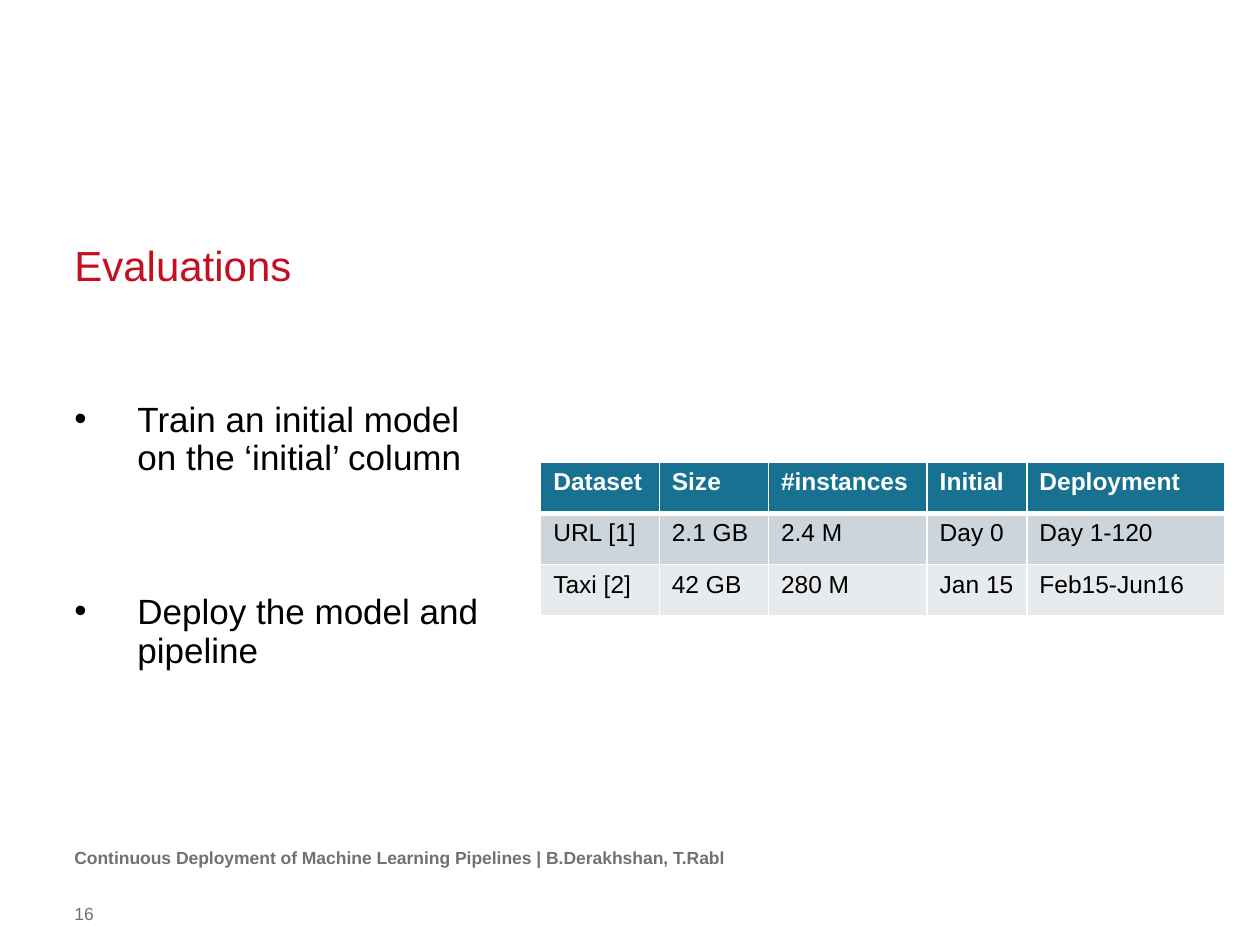
from lxml.etree import SubElement as Sub
from pptx import Presentation
from pptx.dml.color import RGBColor as Rgb
from pptx.enum.text import MSO_ANCHOR as Anchor, MSO_AUTO_SIZE as Auto, PP_ALIGN as Align
from pptx.oxml.ns import qn
from pptx.util import Cm, Pt

TITLE = "Evaluations"
POINTS = ["Train an initial model on the ‘initial’ column",
          "Deploy the model and pipeline"]
ROWS = [
    ["Dataset", "Size", "#instances", "Initial", "Deployment"],
    ["URL [1]", "2.1 GB", "2.4 M", "Day 0", "Day 1-120"],
    ["Taxi [2]", "42 GB", "280 M", "Jan 15", "Feb15-Jun16"],
]
FOOTER = "Continuous Deployment of Machine Learning Pipelines | B.Derakhshan, T.Rabl"
NUMBER = "16"

HUES = {"red": "C50E1F", "black": "000000", "grey": "717171", "white": "FFFFFF",
        "head": "177191", "odd": "CCD5DC", "even": "E8EBEE"}
FILLS = ["head", "odd", "even"]
WIDTHS = [2.39, 2.2, 3.2, 2.01, 3.99]
ROW = 1.03
LEFT = 1.5


def place(shape, left, top, width, height):
    shape.left, shape.top = Cm(left), Cm(top)
    shape.width, shape.height = Cm(width), Cm(height)


def write(frame, *lines, size=10, hue="black", bold=False, line=None, gap=0, inset=0):
    """Fill a text frame, one paragraph per line; inset None keeps the margins."""
    frame.word_wrap = True
    if inset is not None:
        frame.auto_size = Auto.NONE
        frame.margin_left = frame.margin_right = frame.margin_bottom = 0
        frame.margin_top = Pt(inset)
    for i, text in enumerate(lines):
        para = frame.paragraphs[0] if i == 0 else frame.add_paragraph()
        para.alignment = Align.LEFT
        para.space_before = Pt(gap if i else 0)
        if line:
            para.line_spacing = Pt(line)
        run = para.add_run()
        run.text = text
        font = run.font
        font.name, font.size, font.bold = "Arial", Pt(size), bold
        font.color.rgb = Rgb.from_string(HUES[hue])


def bullet(para):
    props = para._p.get_or_add_pPr()
    props.set("marL", str(Cm(1.27)))
    props.set("indent", str(Cm(-1.27)))
    Sub(props, qn("a:buFont"), typeface="Arial")
    Sub(props, qn("a:buChar"), char="•")


def edge(cell, side, width):
    """Draw one white border; call before the cell gets its fill."""
    props = cell._tc.get_or_add_tcPr()
    rule = Sub(props, qn("a:ln" + side), w=str(Pt(width)))
    Sub(Sub(rule, qn("a:solidFill")), qn("a:srgbClr"), val=HUES["white"])


def grid(slide):
    frame = slide.shapes.add_table(len(ROWS), len(WIDTHS), Cm(10.9), Cm(9.32),
                                   Cm(sum(WIDTHS)), Cm(ROW * len(ROWS)))
    table = frame.table
    for col, width in zip(table.columns, WIDTHS):
        col.width = Cm(width)
    for r, texts in enumerate(ROWS):
        table.rows[r].height = Cm(ROW)
        head = r == 0
        for c, text in enumerate(texts):
            cell = table.cell(r, c)
            cell.vertical_anchor = Anchor.TOP
            write(cell.text_frame, text, size=14, bold=head,
                  hue="white" if head else "black", inset=None)
            for side in "LRTB":
                thick = (side == "B" and head) or (side == "T" and r == 1)
                edge(cell, side, 3 if thick else 1)
            cell.fill.solid()
            cell.fill.fore_color.rgb = Rgb.from_string(HUES[FILLS[r]])


def note(slide, text, top, width, height, **style):
    box = slide.shapes.add_textbox(0, 0, 0, 0)
    place(box, LEFT, top, width, height)
    write(box.text_frame, text, hue="grey", **style)


def main():
    deck = Presentation()
    deck.slide_width, deck.slide_height = Cm(25.4), Cm(19.05)
    slide = deck.slides.add_slide(deck.slide_layouts[1])

    title, body = slide.placeholders
    place(title, LEFT, 4.78, 22.4, 1.07)
    write(title.text_frame, TITLE, size=24, hue="red", line=30)
    title.text_frame.vertical_anchor = Anchor.BOTTOM

    place(body, LEFT, 6.53, 8.61, 10.11)
    write(body.text_frame, *POINTS, size=20, line=22, gap=66, inset=44)
    for para in body.text_frame.paragraphs:
        bullet(para)

    note(slide, FOOTER, 17.07, 14, 0.99, bold=True)
    note(slide, NUMBER, 18.21, 11.99, 0.43)
    grid(slide)
    deck.save("out.pptx")


if __name__ == "__main__":
    main()
